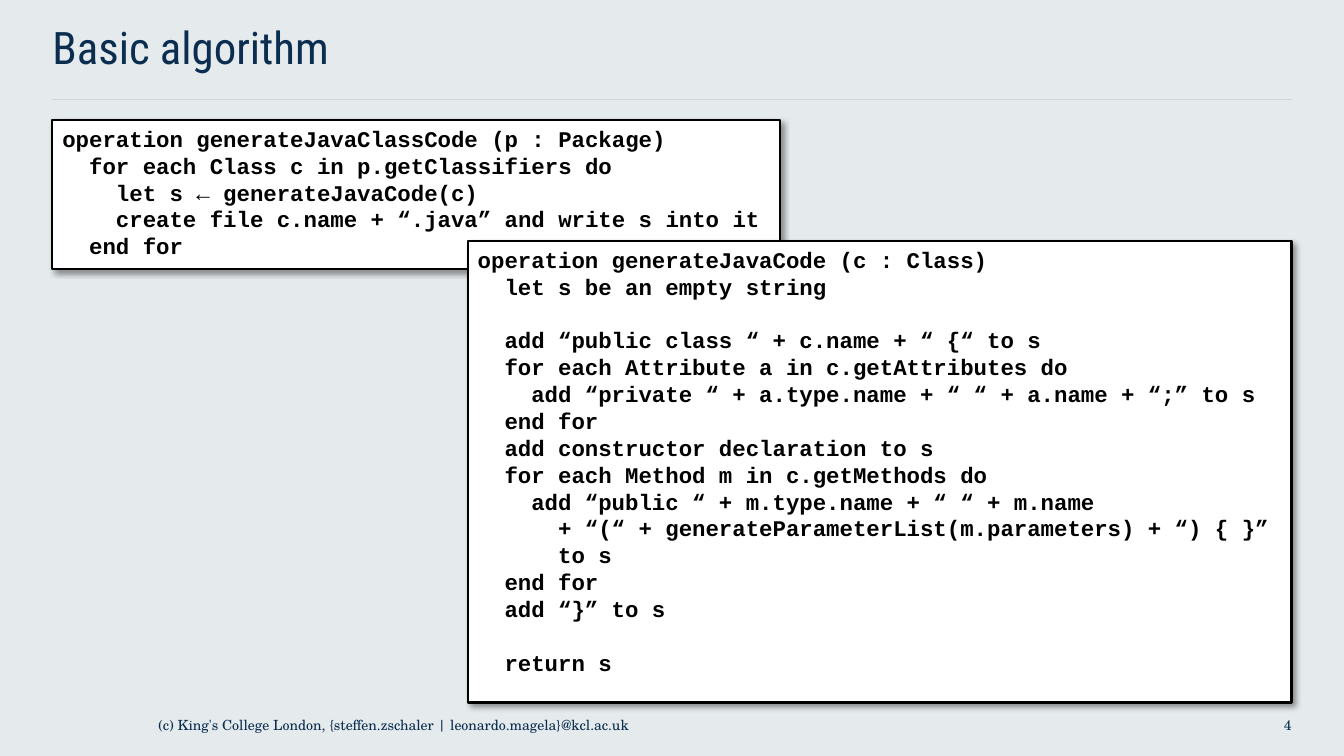
from lxml import etree
from pptx import Presentation
from pptx.dml.color import RGBColor
from pptx.enum import shapes, text
from pptx.oxml import ns
from pptx.util import Inches, Pt

TITLE = "Basic algorithm"
FOOTER = "(c) King's College London, {steffen.zschaler | leonardo.magela}@kcl.ac.uk"
PAGE = "4"
PACKAGE_CODE = """operation generateJavaClassCode (p : Package)
  for each Class c in p.getClassifiers do
    let s ← generateJavaCode(c)
    create file c.name + “.java” and write s into it
  end for"""
CLASS_CODE = """operation generateJavaCode (c : Class)
  let s be an empty string

  add “public class “ + c.name + “ {“ to s
  for each Attribute a in c.getAttributes do
    add “private “ + a.type.name + “ “ + a.name + “;” to s
  end for
  add constructor declaration to s
  for each Method m in c.getMethods do
    add “public “ + m.type.name + “ “ + m.name
      + “(“ + generateParameterList(m.parameters) + “) { }”
      to s
  end for
  add “}” to s

  return s"""

COLORS = {"back": "E5EAEC", "navy": "0A2D50", "rule": "CDD7DC",
          "paper": "FFFFFF", "ink": "000000"}
LEFT, RIGHT = 0.52, 12.81
FOOTER_TOP, FOOTER_HEIGHT = 7.11, 0.39
CODE_BOXES = [
    (PACKAGE_CODE, LEFT, 1.19, 7.22, 1.48),
    (CLASS_CODE, 4.64, 2.39, RIGHT - 4.64, 4.58),
]
CODE_FONT = {"name": "Courier New", "size": Pt(16), "bold": True}
TITLE_FONT = {"name": "Roboto Condensed", "size": Pt(32), "bold": False}
FOOTER_FONT = {"name": "TeX Gyre Schola", "size": Pt(10)}


def color(name):
    return RGBColor.from_string(COLORS[name])


def fill_frame(frame, content, font, ink, align=text.PP_ALIGN.LEFT, margin=0.0, wrap=True):
    """Write content as one paragraph a line, anchored to the top."""
    frame.text = content
    frame.word_wrap = wrap
    frame.vertical_anchor = text.MSO_ANCHOR.TOP
    for side in ("left", "right", "top", "bottom"):
        inset = margin if side in ("left", "right") else margin / 2
        setattr(frame, f"margin_{side}", Inches(inset))
    for line in frame.paragraphs:
        line.alignment = align
        for key, value in font.items():
            setattr(line.font, key, value)
        line.font.color.rgb = color(ink)


def add_shadow(shape):
    effects = etree.SubElement(shape._element.spPr, ns.qn("a:effectLst"))
    shadow = etree.SubElement(effects, ns.qn("a:outerShdw"), blurRad=str(Pt(4)),
                              dist=str(Pt(3)), dir="2700000", algn="tl", rotWithShape="0")
    tint = etree.SubElement(shadow, ns.qn("a:srgbClr"), val=COLORS["ink"])
    etree.SubElement(tint, ns.qn("a:alpha"), val="40000")


def add_code_box(slide, code, *place):
    box = slide.shapes.add_shape(shapes.MSO_SHAPE.RECTANGLE, *map(Inches, place))
    box.fill.solid()
    box.fill.fore_color.rgb = color("paper")
    box.line.color.rgb = color("ink")
    box.line.width = Pt(1.5)
    add_shadow(box)
    fill_frame(box.text_frame, code, CODE_FONT, "ink", margin=0.1, wrap=False)


def add_footer(slide, content, left, width, align):
    box = slide.shapes.add_textbox(*map(Inches, (left, FOOTER_TOP, width, FOOTER_HEIGHT)))
    fill_frame(box.text_frame, content, FOOTER_FONT, "navy", align)


def main():
    deck = Presentation()
    deck.slide_width, deck.slide_height = Inches(13.33), Inches(7.5)
    slide = deck.slides.add_slide(deck.slide_layouts[5])
    slide.background.fill.solid()
    slide.background.fill.fore_color.rgb = color("back")

    rule = slide.shapes.add_connector(shapes.MSO_CONNECTOR.STRAIGHT, Inches(LEFT),
                                      Inches(0.99), Inches(RIGHT), Inches(0.99))
    rule.line.color.rgb = color("rule")
    rule.line.width = Pt(1)
    etree.SubElement(rule._element.spPr, ns.qn("a:effectLst"))

    title = slide.shapes.title
    title.left, title.top = Inches(LEFT), Inches(0.2)
    title.width, title.height = Inches(RIGHT - LEFT), Inches(0.79)
    fill_frame(title.text_frame, TITLE, TITLE_FONT, "navy")

    add_footer(slide, FOOTER, 1.57, 10.18, text.PP_ALIGN.LEFT)
    add_footer(slide, PAGE, 11.76, RIGHT - 11.76, text.PP_ALIGN.RIGHT)
    for code_box in CODE_BOXES:
        add_code_box(slide, *code_box)
    deck.save("out.pptx")


if __name__ == "__main__":
    main()
